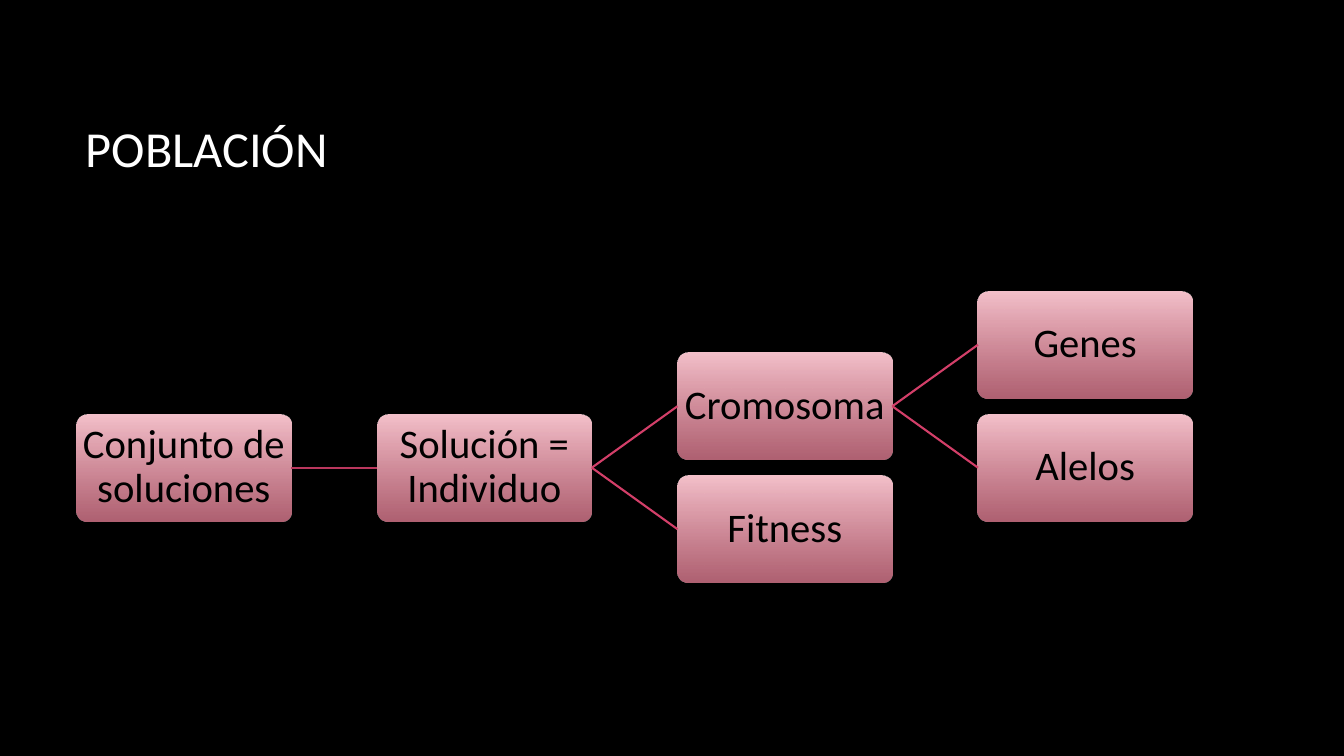
from lxml.etree import SubElement
from pptx import Presentation
from pptx.dml.color import RGBColor as RGB
from pptx.enum.shapes import MSO_CONNECTOR as LINK, MSO_SHAPE as SHAPE
from pptx.enum.text import MSO_ANCHOR as ANCHOR, PP_ALIGN as ALIGN
from pptx.oxml.ns import qn
from pptx.util import Inches, Pt

COLORS = {
    "back": "000000",
    "title": "FFFFFF",
    "text": "000000",
    "top": "F5C1CB",
    "base": "EC849A",
    "stem": "BA375D",
    "branch": "D33F69",
}
FONT = "Calibri"
NODES = [
    ("Conjunto de soluciones", 0, 2, None),
    ("Solución = Individuo", 1, 2, 0),
    ("Cromosoma", 2, 1, 1),
    ("Genes", 3, 0, 2),
    ("Alelos", 3, 2, 2),
    ("Fitness", 2, 3, 1),
]


def color(name):
    return RGB.from_string(COLORS[name])


def write(frame, text, size, name, align):
    frame.word_wrap = True
    frame.vertical_anchor = ANCHOR.MIDDLE
    para = frame.paragraphs[0]
    para.alignment = align
    run = para.add_run()
    run.text = text
    run.font.name = FONT
    run.font.size = Pt(size)
    run.font.color.rgb = color(name)
    return para


def add_title(slide, left, top, width, height):
    title = slide.shapes.title
    title.left, title.top = Inches(left), Inches(top)
    title.width, title.height = Inches(width), Inches(height)
    write(title.text_frame, "POBLACIÓN", 36, "title", ALIGN.LEFT)


def add_node(slide, text, left, top, width, height):
    node = slide.shapes.add_shape(
        SHAPE.ROUNDED_RECTANGLE, Inches(left), Inches(top), Inches(width), Inches(height))
    node.adjustments[0] = 0.1
    node.shadow.inherit = False
    node.line.fill.background()
    node.fill.gradient()
    node.fill.gradient_angle = 270
    for stop, name in zip(node.fill.gradient_stops, ("top", "base")):
        stop.color.rgb = color(name)
    shade = node._element.spPr.findall(".//" + qn("a:srgbClr"))[-1]
    SubElement(shade, qn("a:alpha"), val="74000")
    frame = node.text_frame
    frame.margin_left = frame.margin_right = Inches(0.02)
    frame.margin_top = frame.margin_bottom = Inches(0.02)
    para = write(frame, text, 29, "text", ALIGN.CENTER)
    para.line_spacing = 0.9
    return node


def add_link(slide, start, end, name):
    link = slide.shapes.add_connector(LINK.STRAIGHT, 0, 0, 0, 0)
    link.begin_connect(start, 3)
    link.end_connect(end, 1)
    link.line.color.rgb = color(name)
    link.line.width = Pt(1.5)
    SubElement(link._element.spPr, qn("a:effectLst"))


def add_tree(slide, left, top, width, height):
    wide, high = 2.13, 1.06
    across = (width - wide) / 3
    down = (height - high) / 3
    nodes = []
    for text, col, row, parent in NODES:
        node = add_node(slide, text, left + col * across, top + row * down, wide, high)
        nodes.append(node)
        if parent is not None:
            add_link(slide, nodes[parent], node, "branch" if parent else "stem")


def main():
    deck = Presentation()
    deck.slide_width, deck.slide_height = Inches(13.33), Inches(7.5)
    slide = deck.slides.add_slide(deck.slide_layouts[5])
    slide.background.fill.solid()
    slide.background.fill.fore_color.rgb = color("back")
    add_title(slide, 0.75, 0.67, 11.08, 1.59)
    add_tree(slide, 0.76, 2.89, 11.07, 2.89)
    deck.save("out.pptx")


if __name__ == "__main__":
    main()
